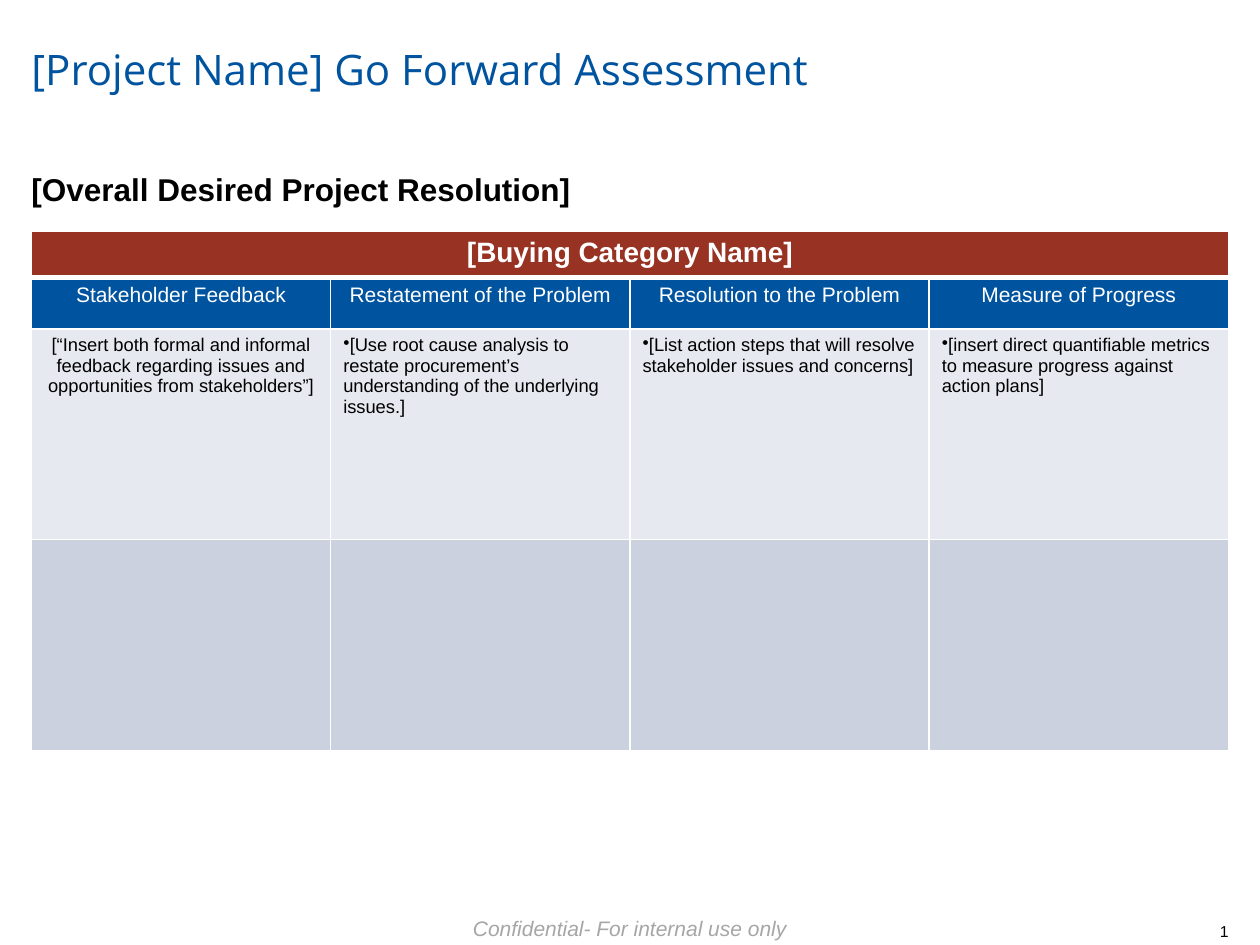
from pptx import Presentation
from pptx.dml.color import RGBColor
from pptx.enum.text import MSO_ANCHOR as Anchor, PP_ALIGN as Align
from pptx.oxml import parse_xml
from pptx.oxml.ns import nsdecls
from pptx.util import Pt

BLUE, RED, WHITE, BLACK, GRAY = "00549F", "983222", "FFFFFF", "000000", "A6A6A6"
PALE, MIST = "E7E9F0", "CCD1DF"


def color(code):
    """Turn a hex string into a colour."""
    return RGBColor.from_string(code)


class Deck:
    """Holds the style and the current slide."""

    font = "Arial"

    def __init__(self, wide, high):
        """Open a deck with one blank slide."""
        self.prs = Presentation()
        self.prs.slide_width, self.prs.slide_height = Pt(wide), Pt(high)
        self.slide = self.prs.slides.add_slide(self.prs.slide_layouts[6])

    def style(self, par, size, tint, align=Align.LEFT, font=None, bold=False, slant=False):
        """Format a paragraph and its runs."""
        par.alignment = align
        for run in par.runs:
            face = run.font
            face.name, face.size = font or self.font, Pt(size)
            face.bold, face.italic = bold, slant
            face.color.rgb = color(tint)

    def text(self, words, box, size, tint, anchor=Anchor.TOP, gap=0.9, **look):
        """Add a text box without margins."""
        frame = self.slide.shapes.add_textbox(*map(Pt, box)).text_frame
        frame.word_wrap = True
        frame.vertical_anchor = anchor
        frame.margin_left = frame.margin_right = 0
        frame.margin_top = frame.margin_bottom = 0
        frame.text = words
        par = frame.paragraphs[0]
        par.line_spacing = gap
        self.style(par, size, tint, **look)

    def grid(self, left, top, widths, heights):
        """Add an empty table with the given columns and rows."""
        size = left, top, sum(widths), sum(heights)
        table = self.slide.shapes.add_table(len(heights), len(widths), *map(Pt, size)).table
        for col, width in zip(table.columns, widths):
            col.width = Pt(width)
        for row, height in zip(table.rows, heights):
            row.height = Pt(height)
        return table

    def cell(self, cell, words, fill, size, tint, base=1, bullet=False, **look):
        """Fill a cell, rule its edges and set its text."""
        for side in "LRTB":
            width = Pt(base if side == "B" else 1)
            cell._tc.get_or_add_tcPr().append(parse_xml(
                f'<a:ln{side} {nsdecls("a")} w="{width}"><a:solidFill>'
                f'<a:srgbClr val="{WHITE}"/></a:solidFill></a:ln{side}>'))
        cell.fill.solid()
        cell.fill.fore_color.rgb = color(fill)
        cell.text_frame.text = words
        par = cell.text_frame.paragraphs[0]
        self.style(par, size, tint, **look)
        if bullet:
            par._p.get_or_add_pPr().append(
                parse_xml(f'<a:buChar {nsdecls("a")} char="•"/>'))


deck = Deck(720, 540)
deck.text("[Project Name] Go Forward Assessment", (18, 28, 684, 26.6), 24, BLUE,
          font="Open Sans")
deck.text("[Overall Desired Project Resolution]", (18, 99.4, 343, 19.4), 18, BLACK,
          Anchor.BOTTOM, bold=True)

heads = ["Stakeholder Feedback", "Restatement of the Problem",
         "Resolution to the Problem", "Measure of Progress"]
notes = ["[“Insert both formal and informal feedback regarding issues and "
         "opportunities from stakeholders”]",
         "[Use root cause analysis to restate procurement’s understanding of the "
         "underlying issues.]",
         "[List action steps that will resolve stakeholder issues and concerns]",
         "[insert direct quantifiable metrics to measure progress against action plans]"]

table = deck.grid(18, 132, [171] * 4, [26, 29.6, 120.4, 120.4])
table.cell(0, 0).merge(table.cell(0, 3))
for col, (head, note) in enumerate(zip(heads, notes)):
    first = col == 0
    deck.cell(table.cell(0, col), "[Buying Category Name]" if first else "", RED, 16,
              WHITE, base=3, align=Align.CENTER, bold=True)
    deck.cell(table.cell(1, col), head, BLUE, 12, WHITE, align=Align.CENTER)
    deck.cell(table.cell(2, col), note, PALE, 10.5, BLACK, bullet=not first,
              align=Align.CENTER if first else Align.LEFT)
    deck.cell(table.cell(3, col), "", MIST, 10.5, BLACK)

deck.text("Confidential- For internal use only", (270, 524.2, 180, 14.4), 12, GRAY,
          Anchor.MIDDLE, align=Align.CENTER, slant=True)
deck.text("1", (681, 527, 21, 10.8), 9, BLACK, Anchor.BOTTOM, 1, align=Align.RIGHT)
deck.prs.save("out.pptx")
